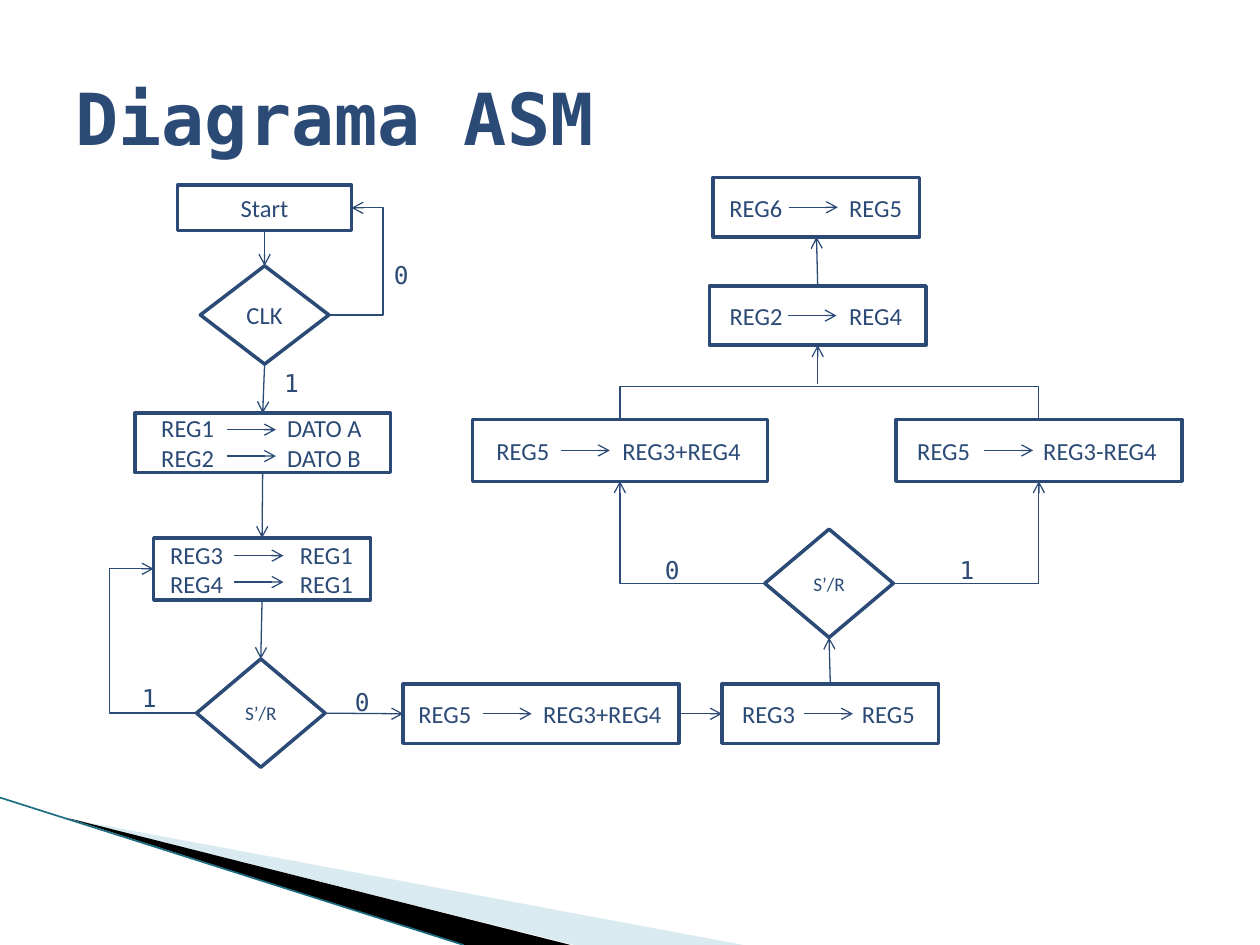
"""Build the ASM diagram slide."""
from lxml.etree import SubElement
from pptx import Presentation
from pptx.dml.color import RGBColor
from pptx.enum.shapes import MSO_CONNECTOR as CONN, MSO_SHAPE as SHAPE
from pptx.enum.text import MSO_ANCHOR, PP_ALIGN
from pptx.oxml.ns import qn
from pptx.util import Inches, Pt

NAVY = RGBColor(0x2B, 0x4A, 0x76)
WHITE = RGBColor(0xFF, 0xFF, 0xFF)
BLACK = RGBColor(0, 0, 0)
PALE = RGBColor(0xD9, 0xEA, 0xF1)
TEAL = RGBColor(0x1B, 0x6E, 0x82)
SANS, MONO = "Calibri", "DejaVu Sans Mono"
ARROW_LEN, ROW_OFFSET = 0.39, 0.21

WEDGES = [
    (PALE, [(0.55, 6.5), (5.9, 7.5), (4.56, 7.5)]),
    (BLACK, [(0.53, 6.49), (4.53, 7.5), (3.68, 7.5)]),
]
NODES = {
    "start": (SHAPE.RECTANGLE, (1.41, 1.47, 1.38, 0.36), "Start", 14),
    "clk": (SHAPE.DIAMOND, (1.59, 2.11, 1.02, 0.78), "CLK", 14),
    "sr_left": (SHAPE.DIAMOND, (1.56, 5.23, 1.02, 0.86), "S’/R", 11),
    "sr_right": (SHAPE.DIAMOND, (6.07, 4.2, 1.02, 0.86), "S’/R", 11),
}
# name: box, text x, arrow x, second column x, rows
TRANSFERS = {
    "load": ((1.07, 3.28, 2.03, 0.47), 1.28, 1.8, 2.28,
             [("REG1", "DATO A"), ("REG2", "DATO B")]),
    "copy": ((1.22, 4.27, 1.72, 0.49), 1.35, 1.86, 2.38,
             [("REG3", "REG1"), ("REG4", "REG1")]),
    "add": ((3.2, 5.43, 2.19, 0.47), 3.32, 3.83, 4.31, [("REG5", "REG3+REG4")]),
    "keep": ((5.73, 5.43, 1.72, 0.47), 5.89, 6.38, 6.84, [("REG3", "REG5")]),
    "sum": ((3.75, 3.33, 2.34, 0.49), 3.94, 4.45, 4.94, [("REG5", "REG3+REG4")]),
    "subtract": ((7.11, 3.33, 2.27, 0.49), 7.28, 7.81, 8.28, [("REG5", "REG3-REG4")]),
    "store": ((5.63, 2.27, 1.72, 0.47), 5.79, 6.25, 6.74, [("REG2", "REG4")]),
    "output": ((5.66, 1.41, 1.64, 0.47), 5.79, 6.26, 6.74, [("REG6", "REG5")]),
}
STRAIGHT = [
    ("start", 2, "clk", 0), ("clk", 2, "load", 0), ("load", 2, "copy", 0),
    ("copy", 2, "sr_left", 0), ("sr_left", 3, "add", 1), ("add", 3, "keep", 1),
    ("keep", 0, "sr_right", 2), ("store", 0, "output", 2),
]
LOOPS = [("clk", 3, "start", 3, 3.04), ("sr_left", 1, "copy", 1, 0.87)]
CORNERS = [("sr_right", 1, "sum", 2), ("sr_right", 3, "subtract", 2)]
MERGE = [(4.92, 3.33), (4.92, 3.07), (8.24, 3.07), (8.24, 3.33)]
MERGE_EXIT = (6.49, 3.05)
LABELS = [("1", 2.15, 2.87), ("0", 3.02, 2.01), ("1", 1.02, 5.37),
          ("1", 7.51, 4.35), ("0", 5.17, 4.35), ("0", 2.71, 5.4)]


def style(p, font, size, bold=False):
    p.font.name, p.font.size, p.font.bold = font, Pt(size), bold
    p.font.color.rgb = NAVY


def add_box(s, kind, box, lines, size):
    sp = s.shapes.add_shape(kind, *map(Inches, box))
    sp.shadow.inherit = False
    sp.fill.solid()
    sp.fill.fore_color.rgb = WHITE
    sp.line.color.rgb, sp.line.width = NAVY, Pt(2)
    tf = sp.text_frame
    tf.margin_left = tf.margin_right = tf.margin_top = tf.margin_bottom = 0
    tf.vertical_anchor = MSO_ANCHOR.MIDDLE
    tf.text = "\n".join(lines)
    for p in tf.paragraphs:
        p.alignment = PP_ALIGN.CENTER
        style(p, SANS, size)
    return sp


def add_line(s, start=(0, 0), end=(0, 0), kind=CONN.STRAIGHT, color=NAVY,
             width=0.75, arrow=True):
    c = s.shapes.add_connector(kind, *map(Inches, (*start, *end)))
    c.line.color.rgb, c.line.width = color, Pt(width)
    if arrow:
        SubElement(c.line._get_or_add_ln(), qn("a:tailEnd"), type="arrow")
    SubElement(c._element.spPr, qn("a:effectLst"))
    return c


def join(s, nodes, a, a_side, b, b_side, kind=CONN.STRAIGHT):
    c = add_line(s, kind=kind)
    c.begin_connect(nodes[a], a_side)
    c.end_connect(nodes[b], b_side)
    return c


def add_path(s, points, close):
    points = [(Inches(x), Inches(y)) for x, y in points]
    fb = s.shapes.build_freeform(*points[0])
    fb.add_line_segments(points[1:], close=close)
    sp = fb.convert_to_shape()
    sp.shadow.inherit = False
    return sp


def add_transfer(s, box, text_x, arrow_x, second_x, rows):
    sp = add_box(s, SHAPE.RECTANGLE, box, ["\t".join(row) for row in rows], 14)
    sp.text_frame.margin_left = Inches(text_x - box[0])
    for i, p in enumerate(sp.text_frame.paragraphs):
        p.alignment = PP_ALIGN.LEFT
        tabs = SubElement(p._p.get_or_add_pPr(), qn("a:tabLst"))
        p._p.pPr.insert(0, tabs)
        SubElement(tabs, qn("a:tab"), pos=str(Inches(second_x - text_x)), algn="l")
        y = box[1] + box[3] / 2 + (i - (len(rows) - 1) / 2) * ROW_OFFSET
        add_line(s, (arrow_x, y), (arrow_x + ARROW_LEN, y))
    return sp


def add_text(s, text, box, font, size, bold=False, wrap=True, align=PP_ALIGN.LEFT):
    tf = s.shapes.add_textbox(*map(Inches, box)).text_frame
    tf.word_wrap = wrap
    tf.vertical_anchor = MSO_ANCHOR.MIDDLE
    p = tf.paragraphs[0]
    p.text, p.alignment = text, align
    style(p, font, size, bold)


def main():
    prs = Presentation()
    prs.slide_width, prs.slide_height = Inches(10), Inches(7.5)
    s = prs.slides.add_slide(prs.slide_layouts[6])

    for color, points in WEDGES:
        sp = add_path(s, points, True)
        sp.fill.solid()
        sp.fill.fore_color.rgb = color
        sp.line.fill.background()
    add_line(s, (0, 6.33), (3.68, 7.5), color=TEAL, width=0.95, arrow=False)
    add_text(s, "Diagrama ASM", (0.5, 0.3, 9, 1.25), MONO, 41, bold=True)

    nodes = {name: add_box(s, kind, box, [text], size)
             for name, (kind, box, text, size) in NODES.items()}
    for name, transfer in TRANSFERS.items():
        nodes[name] = add_transfer(s, *transfer)

    for link in STRAIGHT:
        join(s, nodes, *link)
    for *link, bend_x in LOOPS:
        c = join(s, nodes, *link, CONN.ELBOW)
        ratio = (Inches(bend_x) - c.begin_x) / (c.end_x - c.begin_x)
        guides = c._element.spPr.prstGeom.get_or_add_avLst()
        SubElement(guides, qn("a:gd"), name="adj1", fmla=f"val {round(ratio * 100000)}")
    for link in CORNERS:
        c = join(s, nodes, *link, CONN.ELBOW)
        c._element.spPr.prstGeom.set("prst", "bentConnector2")

    merge = add_path(s, MERGE, False)
    merge.fill.background()
    merge.line.color.rgb, merge.line.width = NAVY, Pt(0.75)
    add_line(s, MERGE_EXIT, MERGE_EXIT).end_connect(nodes["store"], 2)

    for text, x, y in LABELS:
        add_text(s, text, (x, y, 0.33, 0.34), MONO, 14, wrap=False, align=PP_ALIGN.CENTER)
    prs.save("out.pptx")


if __name__ == "__main__":
    main()
